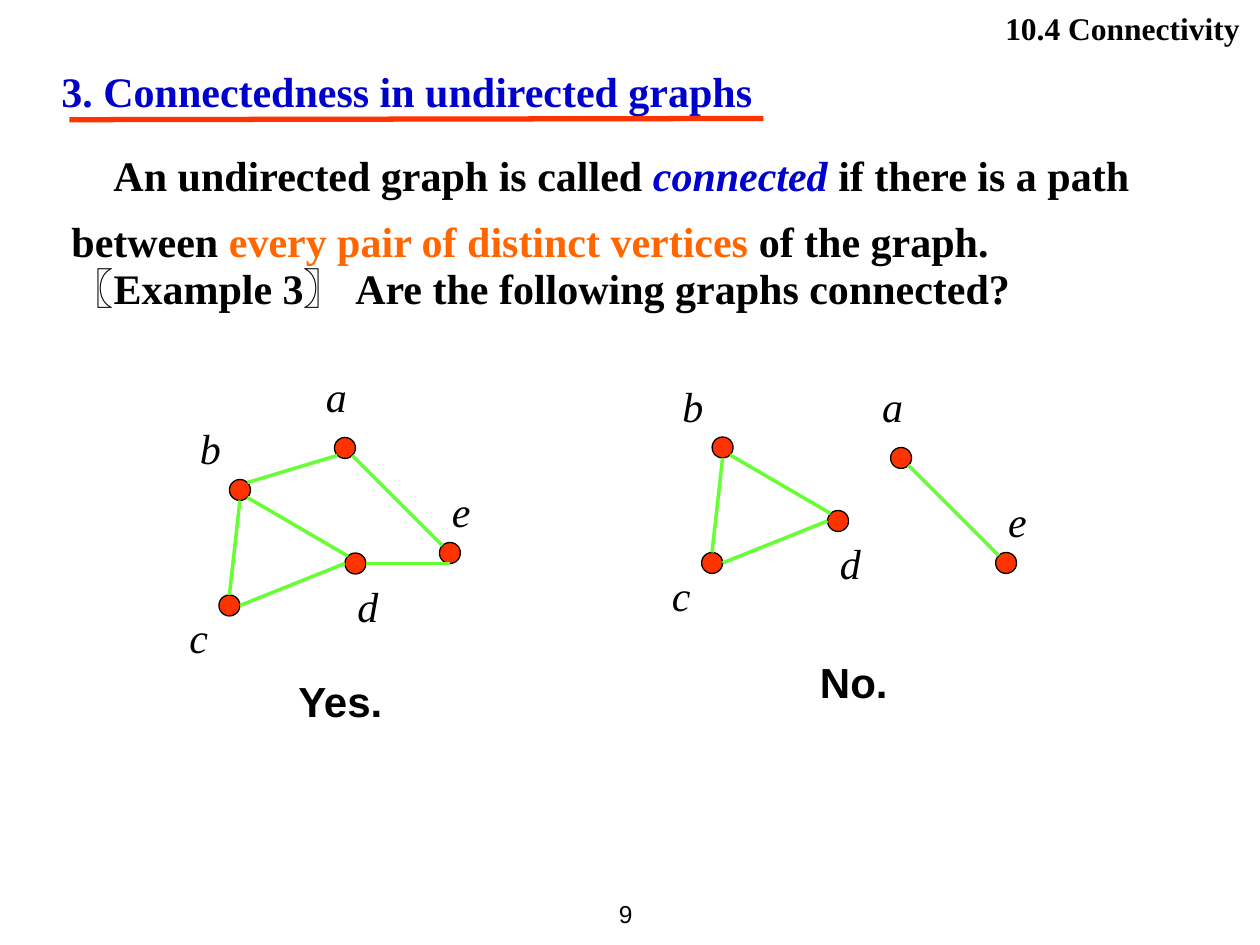
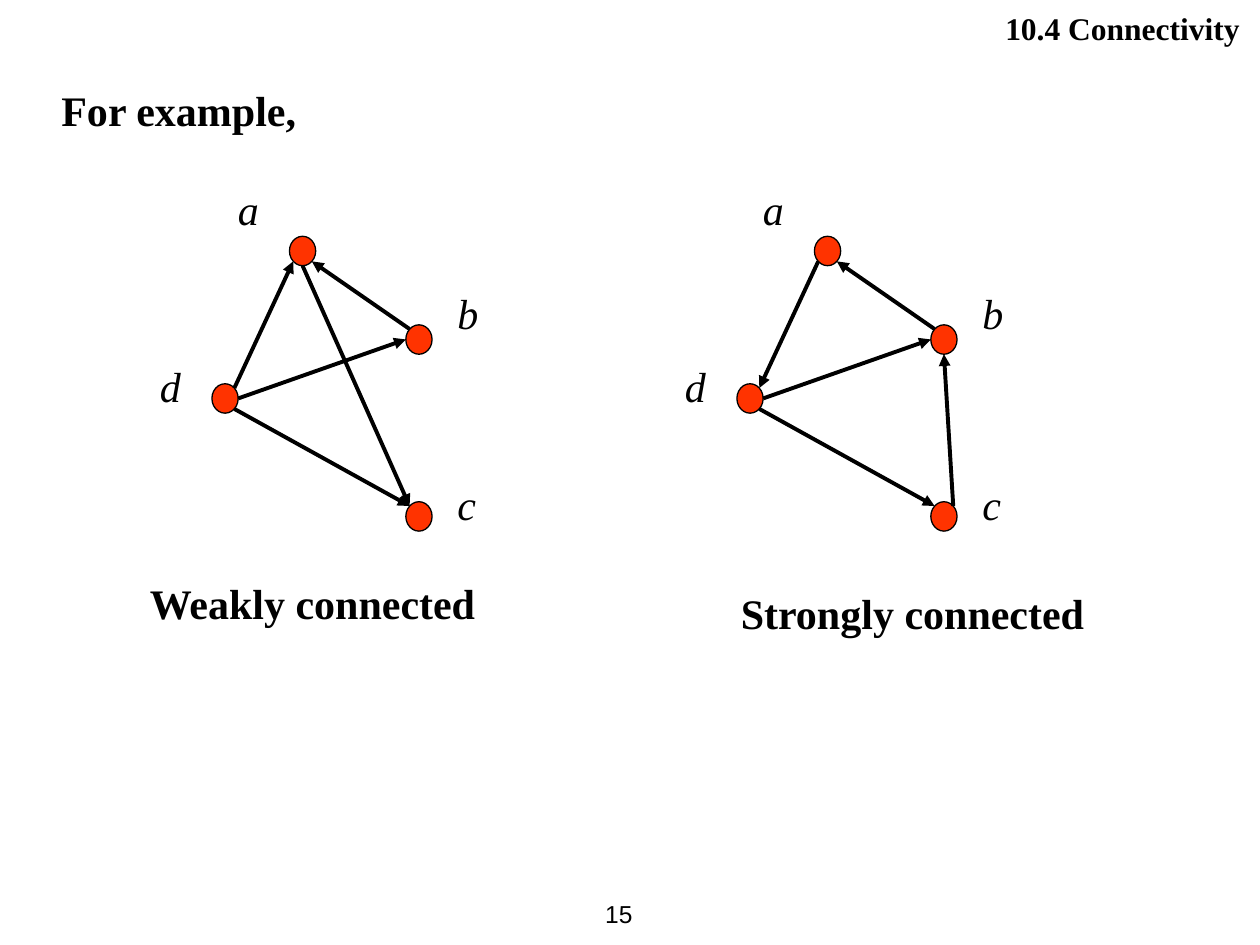
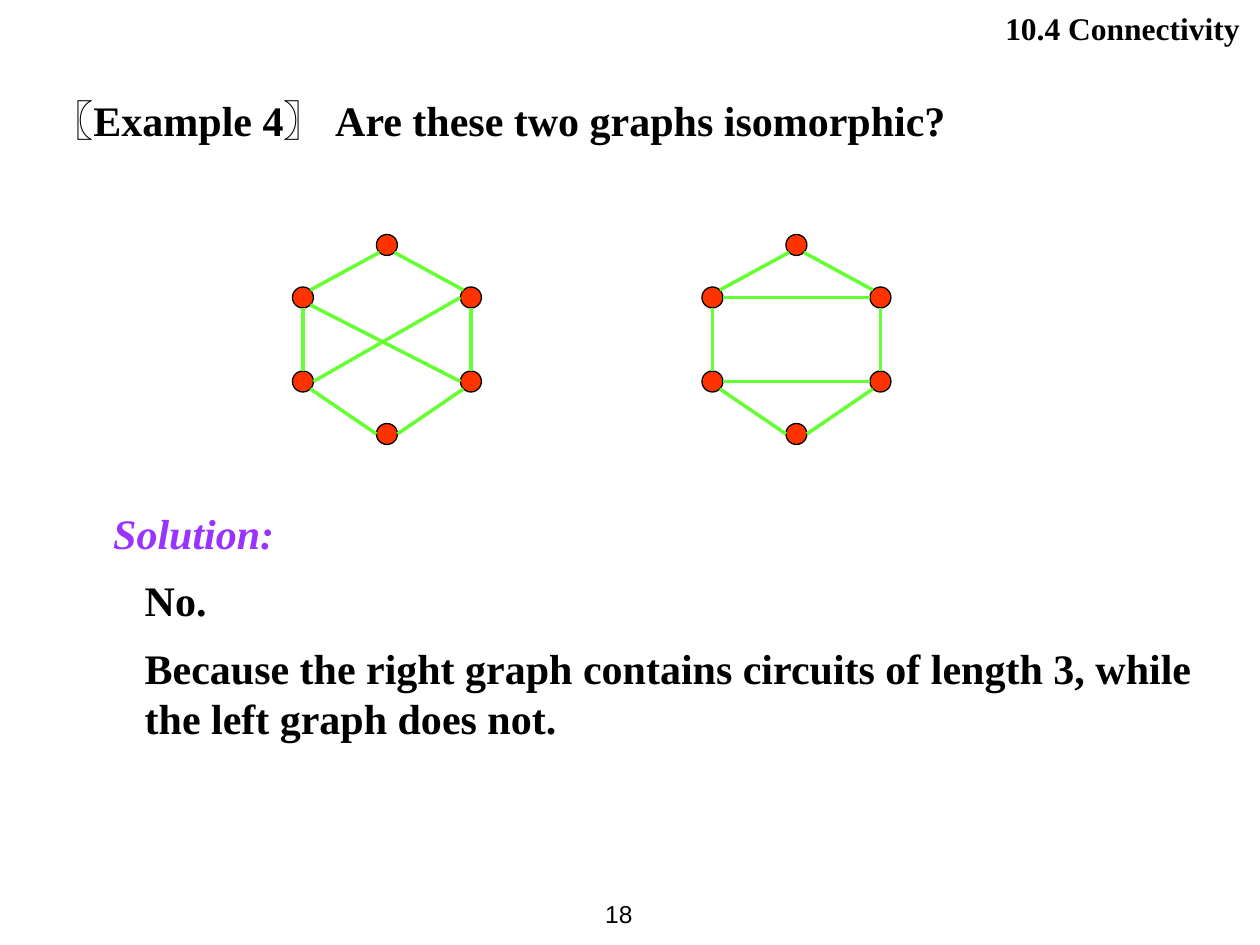
from lxml.etree import SubElement
from pptx import Presentation
from pptx.dml.color import RGBColor
from pptx.enum.shapes import MSO_CONNECTOR, MSO_SHAPE
from pptx.enum.text import MSO_ANCHOR, PP_ALIGN
from pptx.oxml.ns import qn
from pptx.util import Pt

BLACK = RGBColor(0x00, 0x00, 0x00)
BLUE = RGBColor(0x00, 0x00, 0xCC)
RED = RGBColor(0xFF, 0x33, 0x00)
ORANGE = RGBColor(0xFF, 0x66, 0x00)
GREEN = RGBColor(0x66, 0xFF, 0x33)
PURPLE = RGBColor(0x99, 0x33, 0xFF)
SERIF, SANS = "Times New Roman", "Arial"

# Content: text
SECTION = "10.4 Connectivity "
HEADING = "3. Connectedness in undirected graphs"
DEFINITION = [
    "An undirected graph is called ",
    ("connected", {"color": BLUE, "italic": True}),
    " if there is a path between ",
    ("every pair of distinct vertices", {"color": ORANGE}),
    " of the graph.",
]
SOLUTION = [
    [("Solution:", {"color": PURPLE, "italic": True})],
    ["No."],
    ["Because the right graph contains circuits of length 3, "
     "while the left graph does not."],
]

# Content: graphs. Vertices are centres measured from the graph's origin;
# an edge "a.SE e.NW" runs between compass points of two vertices.
CONNECTED = {
    "origin": (131.1, 256),
    "vertices": {"a": (66, 0), "b": (6, 24), "c": (0, 90), "d": (72, 66), "e": (126, 60)},
    "edges": ["d.E e.S", "d.W c.E", "c.N b.S", "b.NE a.SW", "a.SE e.NW", "b.SE d.NW"],
}
DISCONNECTED = {
    "origin": (406.9, 255.7),
    "vertices": {"a": (108, 6), "b": (6, 0), "c": (0, 66), "d": (72, 42), "e": (168, 66)},
    "edges": ["d.W c.E", "c.N b.S", "a.SE e.NW", "b.SE d.NW"],
}
# Label box from vertex centre: left, top, width, height
UNDIRECTED_LABELS = {
    "a": (-18, -48, 48, 36), "b": (-30, -42, 24, 36), "c": (-30, 0, 30, 36),
    "d": (-6, 6, 48, 36), "e": (-6, -42, 48, 36),
}

DIRECTED_VERTICES = {"a": (44.3, 0), "b": (110.8, 50.6), "c": (110.8, 151.7), "d": (0, 84.3)}
DIRECTED_SHARED = ["b.NW a.SE", "d.E b.W", "d.SE c.NW"]
WEAK = {
    "origin": (128.6, 143.4),
    "vertices": DIRECTED_VERTICES,
    "edges": DIRECTED_SHARED + ["d.NE a.SW", "a.S c.NW"],
}
STRONG = {
    "origin": (428.6, 143.4),
    "vertices": DIRECTED_VERTICES,
    "edges": DIRECTED_SHARED + ["a.SW d.NE", "c.NE b.S"],
}
DIRECTED_LABELS = {
    "a": (-44, -42, 59, 50.4), "b": (14.8, -33.4, 59, 50.4),
    "c": (14.8, -25.2, 59, 50.4), "d": (-44.3, -25.4, 59, 50.4),
}

HEXAGON = {
    "top": (48, 0), "upper left": (0, 30), "upper right": (96, 30),
    "lower left": (0, 78), "lower right": (96, 78), "bottom": (48, 108),
}
HEXAGON = {"".join(word[0] for word in name.split()): centre for name, centre in HEXAGON.items()}
HEXAGON_SIDES = ["t.SW ul.NE", "t.SE ur.NW", "ul.S ll.N", "ur.S lr.N", "ll.SE b.W", "lr.SW b.E"]
CROSSED = {
    "origin": (173.1, 140),
    "vertices": HEXAGON,
    "edges": HEXAGON_SIDES + ["ul.SE lr.W", "ll.E ur.W"],
}
BARRED = {
    "origin": (407.1, 140),
    "vertices": HEXAGON,
    "edges": HEXAGON_SIDES + ["ul.E ur.W", "ll.E lr.W"],
}

DIAGONAL = 0.71
COMPASS = {
    "N": (0, -1), "S": (0, 1), "E": (1, 0), "W": (-1, 0),
    "NE": (DIAGONAL, -DIAGONAL), "NW": (-DIAGONAL, -DIAGONAL),
    "SE": (DIAGONAL, DIAGONAL), "SW": (-DIAGONAL, DIAGONAL),
}


def add_text(slide, box, paragraphs, size=24, font=SERIF, color=BLACK, bold=True,
             italic=False, align=None, anchor=MSO_ANCHOR.TOP, wrap=True, before=0,
             after=0, line_spacing=None, indents=((0, 0),)):
    """Paragraphs are lists of runs; a run is a string or (string, overrides).
    Spacing is in percent; indents are (left, first line) per paragraph."""
    if isinstance(paragraphs, str):
        paragraphs = [[paragraphs]]
    frame = slide.shapes.add_textbox(*map(Pt, box)).text_frame
    frame.word_wrap = wrap
    frame.vertical_anchor = anchor
    for index, runs in enumerate(paragraphs):
        paragraph = frame.add_paragraph() if index else frame.paragraphs[0]
        properties = paragraph._p.get_or_add_pPr()
        left, first = indents[min(index, len(indents) - 1)]
        properties.set("marL", str(Pt(left)))
        properties.set("indent", str(Pt(first)))
        for tag, percent in (("a:spcBef", before), ("a:spcAft", after)):
            spacing = SubElement(properties, qn(tag))
            SubElement(spacing, qn("a:spcPct"), val=str(percent * 1000))
        paragraph.alignment = align
        paragraph.line_spacing = line_spacing
        for item in runs:
            words, changes = (item, {}) if isinstance(item, str) else item
            run = paragraph.add_run()
            run.text = words
            run.font.size = Pt(size)
            run.font.bold = bold
            run.font.name = changes.get("font", font)
            run.font.italic = changes.get("italic", italic)
            run.font.color.rgb = changes.get("color", color)


def add_line(slide, start, end, color, width, arrow=False):
    line = slide.shapes.add_connector(MSO_CONNECTOR.STRAIGHT, *map(Pt, (*start, *end)))
    line.line.color.rgb = color
    line.line.width = Pt(width)
    if arrow:
        SubElement(line.line._get_or_add_ln(), qn("a:tailEnd"), type="triangle")
    SubElement(line._element.spPr, qn("a:effectLst"))


def add_graph(slide, graph, labels=None, size=(12, 12), color=GREEN, width=2, arrow=False):
    left, top = graph["origin"]
    across, down = size
    centres = {name: (left + x, top + y) for name, (x, y) in graph["vertices"].items()}

    def rim(end):
        name, direction = end.split(".")
        (x, y), (dx, dy) = centres[name], COMPASS[direction]
        return x + dx * across / 2, y + dy * down / 2

    for name, (x, y) in centres.items():
        vertex = slide.shapes.add_shape(
            MSO_SHAPE.FLOWCHART_CONNECTOR,
            *map(Pt, (x - across / 2, y - down / 2, across, down)))
        vertex.shadow.inherit = False
        vertex.fill.solid()
        vertex.fill.fore_color.rgb = RED
        vertex.line.color.rgb = BLACK
        vertex.line.width = Pt(0.75)
        if labels:
            dx, dy, *extent = labels[name]
            add_text(slide, (x + dx, y + dy, *extent), name,
                     bold=False, italic=True, before=50)
    for edge in graph["edges"]:
        start, end = edge.split()
        add_line(slide, rim(start), rim(end), color, width, arrow)


def add_example(slide, left, top, number, question):
    runs = [("〖", {"font": SANS}), f"Example {number}", ("〗 ", {"font": SANS}), question]
    add_text(slide, (left, top, 658, 36), [runs], before=50, indents=[(36, -36)])


def add_page(deck, number):
    """A blank slide with the section name and page number."""
    slide = deck.slides.add_slide(deck.slide_layouts[6])
    add_text(slide, (486, 1.4, 234, 28.8), SECTION, size=18, align=PP_ALIGN.RIGHT, before=50)
    add_text(slide, (320.4, 504, 48.2, 36), str(number), size=14, font=SANS, bold=False,
             align=PP_ALIGN.RIGHT, anchor=MSO_ANCHOR.MIDDLE, wrap=False)
    return slide


def main():
    deck = Presentation()
    deck.slide_width, deck.slide_height = Pt(720), Pt(540)

    # Connectedness in undirected graphs
    slide = add_page(deck, 9)
    add_text(slide, (28, 33.8, 453.6, 36), HEADING, color=BLUE, before=30, indents=[(36, -36)])
    add_line(slide, (39.6, 68.4), (436.3, 67.7), RED, 3)
    add_text(slide, (33.8, 73.4, 640.8, 73.4), [DEFINITION], line_spacing=1.3,
             indents=[(0, 24)])
    add_example(slide, 33.8, 146.2, 3, "Are the following graphs connected?")
    for graph in (CONNECTED, DISCONNECTED):
        add_graph(slide, graph, UNDIRECTED_LABELS)
    for answer, left, top in (("Yes.", 163.4, 382.3), ("No.", 461.5, 371.5)):
        add_text(slide, (left, top, 72, 41.8), answer, font=SANS, before=20, after=20)

    # Weak and strong connection
    slide = add_page(deck, 15)
    add_text(slide, (28, 44.6, 584, 45.4), "For example,", before=20)
    for graph, caption, left, top in ((WEAK, "Weakly connected", 78.5, 326.2),
                                      (STRONG, "Strongly connected", 416.2, 331.9)):
        add_graph(slide, graph, DIRECTED_LABELS, size=(15, 16.8), color=BLACK,
                  width=2.25, arrow=True)
        add_text(slide, (left, top, 215.3, 45.4), caption, before=20)

    # Isomorphism question
    slide = add_page(deck, 18)
    add_example(slide, 22.3, 50.4, 4, "Are these two graphs isomorphic?")
    for graph in (CROSSED, BARRED):
        add_graph(slide, graph)
    add_text(slide, (39.6, 286.6, 658, 145.4), SOLUTION, before=20, after=20,
             indents=[(36, -18), (36, 0)])

    deck.save("out.pptx")


if __name__ == "__main__":
    main()
